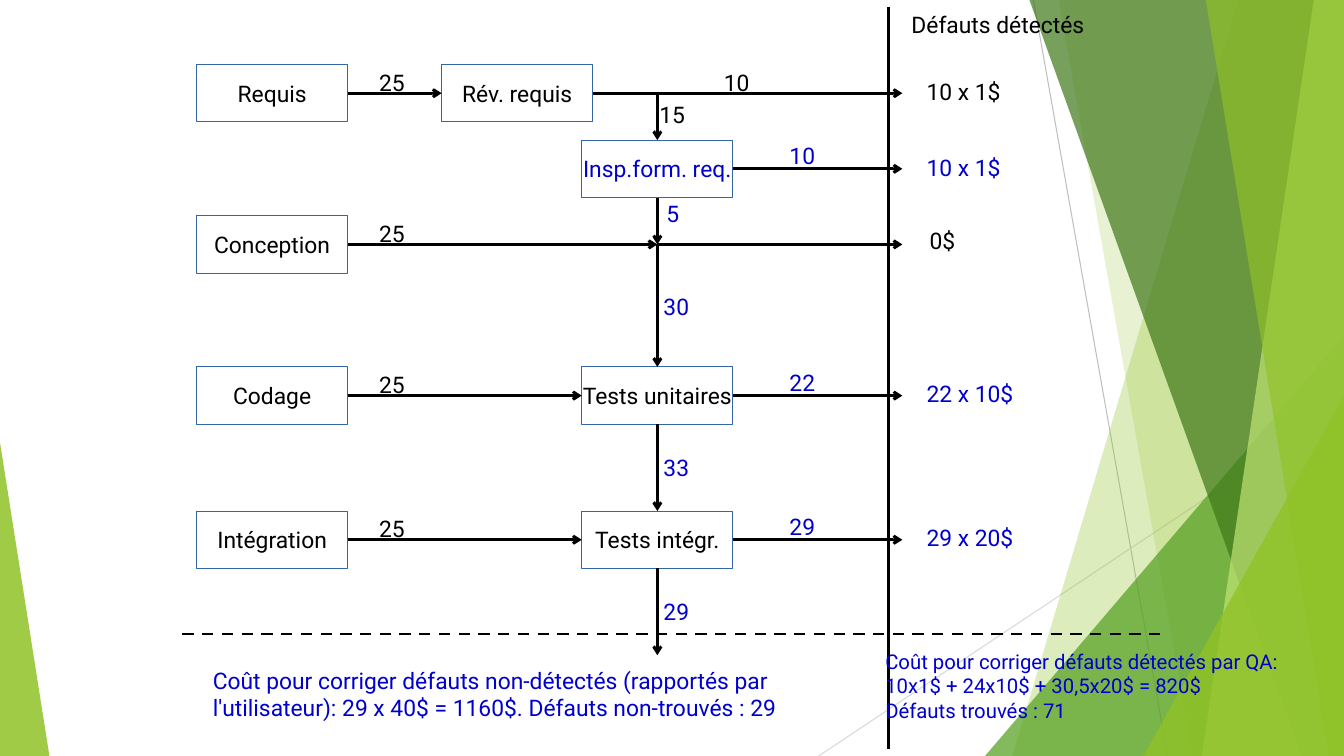
from lxml import etree
from pptx import Presentation
from pptx.dml.color import RGBColor
from pptx.enum.dml import MSO_LINE
from pptx.enum.shapes import MSO_CONNECTOR, MSO_SHAPE
from pptx.enum.text import MSO_ANCHOR, MSO_AUTO_SIZE, PP_ALIGN
from pptx.oxml.ns import qn
from pptx.util import Inches, Pt

STRAIGHT = MSO_CONNECTOR.STRAIGHT
RECTANGLE, TRIANGLE = MSO_SHAPE.RECTANGLE, MSO_SHAPE.ISOSCELES_TRIANGLE
DASH = MSO_LINE.DASH
MIDDLE, CENTER = MSO_ANCHOR.MIDDLE, PP_ALIGN.CENTER
FIT_SHAPE = MSO_AUTO_SIZE.SHAPE_TO_FIT_TEXT
TOP, LEFT, BOTTOM, RIGHT = range(4)

BLACK = RGBColor(0x00, 0x00, 0x00)
WHITE = RGBColor(0xFF, 0xFF, 0xFF)
BLUE = RGBColor(0x00, 0x00, 0xCC)
BOX_EDGE = RGBColor(0x34, 0x65, 0xA4)
LIME = RGBColor(0x90, 0xC2, 0x26)
GREEN = RGBColor(0x54, 0xA0, 0x21)
DARK_GREEN = RGBColor(0x3F, 0x78, 0x19)
PALE_LIME = RGBColor(0xC0, 0xE4, 0x74)
GREY = RGBColor(0xBF, 0xBF, 0xBF)
LIGHT_GREY = RGBColor(0xD9, 0xD9, 0xD9)

FONT, BODY, SMALL = "Roboto", 16.3, 14.5
WIDTH, HEIGHT = 13.33, 7.5
BOX_W, BOX_H = 1.5, 0.57
LABEL_W, LABEL_H = 0.44, 0.35

# Columns, by left edge
PHASE, REVIEW, CONTROL = 1.95, 4.38, 5.77
PHASE_COUNT, FOUND_COUNT, FLOW_COUNT = 3.67, 7.74, 6.49
FLOW = CONTROL + BOX_W / 2
BORDER, FOUND_END, COST = 8.81, 8.95, 9.1

# Rows, by top edge of their boxes
ROW_STEP = 0.75
REQUIREMENTS, INSPECTION, DESIGN = (0.64 + ROW_STEP * i for i in range(3))
CODING, INTEGRATION = DESIGN + 2 * ROW_STEP, 5.07


def middle(row):
    return row + BOX_H / 2


def fill(shape, color, opacity=100):
    shape.shadow.inherit = False
    shape.fill.solid()
    shape.fill.fore_color.rgb = color
    if opacity < 100:
        tint = shape.fill._xPr.find(qn("a:solidFill"))[0]
        etree.SubElement(tint, qn("a:alpha")).set("val", str(opacity * 1000))


def facet(slide, points, color, opacity):
    outline = [(Inches(x), Inches(y)) for x, y in points]
    builder = slide.shapes.build_freeform(*outline[0])
    builder.add_line_segments(outline[1:])
    shape = builder.convert_to_shape()
    fill(shape, color, opacity)
    shape.line.fill.background()


def corner(slide, x, y, width, apex, color, opacity):
    """Right triangle standing on the slide's bottom edge."""
    shape = slide.shapes.add_shape(
        TRIANGLE, Inches(x), Inches(y), Inches(width), Inches(HEIGHT - y))
    shape.adjustments[0] = apex
    fill(shape, color, opacity)
    shape.line.fill.background()


def rule(slide, start, end, color=BLACK, weight=0):
    connector = slide.shapes.add_connector(
        STRAIGHT, *(Inches(value) for value in (*start, *end)))
    connector.line.color.rgb = color
    connector.line.width = Pt(weight)
    etree.SubElement(connector._element.spPr, qn("a:effectLst"))
    return connector


def arrow(slide, start, end, source=None, target=None):
    """Arrow between two points; source and target are (box, side) joints."""
    connector = rule(slide, start, end)
    head = etree.SubElement(connector.line._get_or_add_ln(), qn("a:tailEnd"))
    head.set("type", "arrow")
    if source:
        connector.begin_connect(*source)
    if target:
        connector.end_connect(*target)


def write(paragraph, text, color, size):
    run = paragraph.add_run()
    run.text = text
    run.font.name, run.font.size = FONT, Pt(size)
    run.font.color.rgb = color


def set_margins(frame):
    frame.margin_left = frame.margin_right = Inches(0.09)
    frame.margin_top = frame.margin_bottom = Inches(0.04)


def box(slide, x, y, text, color=BLACK):
    shape = slide.shapes.add_shape(
        RECTANGLE, Inches(x), Inches(y), Inches(BOX_W), Inches(BOX_H))
    fill(shape, WHITE)
    shape.line.color.rgb = BOX_EDGE
    shape.line.width = Pt(0)
    frame = shape.text_frame
    set_margins(frame)
    frame.word_wrap = False
    frame.vertical_anchor = MIDDLE
    frame.paragraphs[0].alignment = CENTER
    write(frame.paragraphs[0], text, color, BODY)
    return shape


def label(slide, x, y, texts, color=BLACK, width=LABEL_W, height=LABEL_H,
          size=BODY, wrap=False):
    frame = slide.shapes.add_textbox(
        Inches(x), Inches(y), Inches(width), Inches(height)).text_frame
    set_margins(frame)
    frame.word_wrap = wrap
    frame.auto_size = FIT_SHAPE
    for i, text in enumerate(texts):
        paragraph = frame.add_paragraph() if i else frame.paragraphs[0]
        write(paragraph, text, color, size)


def draw_backdrop(slide):
    rule(slide, (10.25, 0), (11.58, HEIGHT), GREY, 0.75)
    rule(slide, (WIDTH, 4.03), (8.12, HEIGHT), LIGHT_GREY, 0.75)

    def band(top, bottom, color, opacity):
        """Facet from the slanted edge top-bottom to the slide's right edge."""
        facet(slide, [(top, 0), (WIDTH, 0), (WIDTH, HEIGHT), (bottom, HEIGHT)],
              color, opacity)

    band(12.28, 10.04, LIME, 30)
    band(10.5, 11.83, LIME, 20)
    corner(slide, 9.77, 3.33, 3.56, 1, GREEN, 72)
    band(10.21, 12.91, DARK_GREEN, 70)
    band(13.03, 11.92, PALE_LIME, 70)
    band(11.96, 13.18, LIME, 65)
    corner(slide, 11.34, 3.93, 1.99, 1, LIME, 80)
    corner(slide, 0, 4.39, 0.49, 0, LIME, 85)


def draw_flow(slide):
    requirements, design, coding, integration = (
        box(slide, PHASE, row, text) for row, text in (
            (REQUIREMENTS, "Requis"), (DESIGN, "Conception"),
            (CODING, "Codage"), (INTEGRATION, "Intégration")))
    review = box(slide, REVIEW, REQUIREMENTS, "Rév. requis")
    inspection = box(slide, CONTROL, INSPECTION, "Insp.form. req.", BLUE)
    unit_tests = box(slide, CONTROL, CODING, "Tests unitaires")
    integration_tests = box(slide, CONTROL, INTEGRATION, "Tests intégr.")

    # Defects brought in by each phase
    for row, phase, control, end in (
            (REQUIREMENTS, requirements, review, REVIEW),
            (DESIGN, design, None, FLOW),
            (CODING, coding, unit_tests, CONTROL),
            (INTEGRATION, integration, integration_tests, CONTROL)):
        arrow(slide, (PHASE + BOX_W, middle(row)), (end, middle(row)),
              (phase, RIGHT), control and (control, LEFT))
        label(slide, PHASE_COUNT, row, ["25"])

    # Defects found by each control
    for row, control, start, count_x, count_y, count, color in (
            (REQUIREMENTS, review, REVIEW + BOX_W, 7.09, 0, "10", BLACK),
            (INSPECTION, inspection, CONTROL + BOX_W, FOUND_COUNT, -0.02, "10", BLUE),
            (CODING, unit_tests, CONTROL + BOX_W, FOUND_COUNT, -0.02, "22", BLUE),
            (INTEGRATION, integration_tests, CONTROL + BOX_W, FOUND_COUNT, -0.02,
             "29", BLUE)):
        arrow(slide, (start, middle(row)), (FOUND_END, middle(row)), (control, RIGHT))
        label(slide, count_x, row + count_y, [count], color)
    arrow(slide, (FLOW, middle(DESIGN)), (FOUND_END, middle(DESIGN)))

    # Defects passed on downwards
    for start, end, source, target, x, y, count, color in (
            (middle(REQUIREMENTS), INSPECTION, None, inspection, 6.45, 0.96, "15", BLACK),
            (INSPECTION + BOX_H, middle(DESIGN), inspection, None, 6.52, 1.94, "5", BLUE),
            (middle(DESIGN), CODING, None, unit_tests, FLOW_COUNT, 2.86, "30", BLUE),
            (CODING + BOX_H, INTEGRATION, unit_tests, integration_tests,
             FLOW_COUNT, 4.46, "33", BLUE),
            (INTEGRATION + BOX_H, 6.5, integration_tests, None,
             FLOW_COUNT, 5.89, "29", BLUE)):
        arrow(slide, (FLOW, start), (FLOW, end),
              source and (source, BOTTOM), target and (target, TOP))
        label(slide, x, y, [count], color)


def draw_costs(slide):
    rule(slide, (BORDER, 0.07), (BORDER, 7.43))
    rule(slide, (1.81, 6.29), (11.52, 6.29)).line.dash_style = DASH
    label(slide, FOUND_END, 0.07, ["Défauts détectés"], width=1.9)
    for row, cost, color, width in (
            (REQUIREMENTS, "10 x 1$", BLACK, 0.93), (INSPECTION, "10 x 1$", BLUE, 0.93),
            (CODING, "22 x 10$", BLUE, 1.06), (INTEGRATION, "29 x 20$", BLUE, 1.06)):
        label(slide, COST, row + 0.09, [cost], color, width)
    label(slide, 9.13, DESIGN + 0.07, ["0$"])
    label(slide, 2.02, 6.57, [
        "Coût pour corriger défauts non-détectés (rapportés par l'utilisateur): "
        "29 x 40$ = 1160$. Défauts non-trouvés : 29"], BLUE, 5.95, 0.62, wrap=True)
    label(slide, 8.69, 6.4, [
        "Coût pour corriger défauts détectés par QA: 10x1$ + 24x10$ + 30,5x20$ = 820$",
        "Défauts trouvés : 71"], BLUE, 4.32, 0.79, SMALL, wrap=True)


def main():
    presentation = Presentation()
    presentation.slide_width = Inches(WIDTH)
    presentation.slide_height = Inches(HEIGHT)
    slide = presentation.slides.add_slide(presentation.slide_layouts[6])
    draw_backdrop(slide)
    draw_flow(slide)
    draw_costs(slide)
    presentation.save("out.pptx")


if __name__ == "__main__":
    main()
